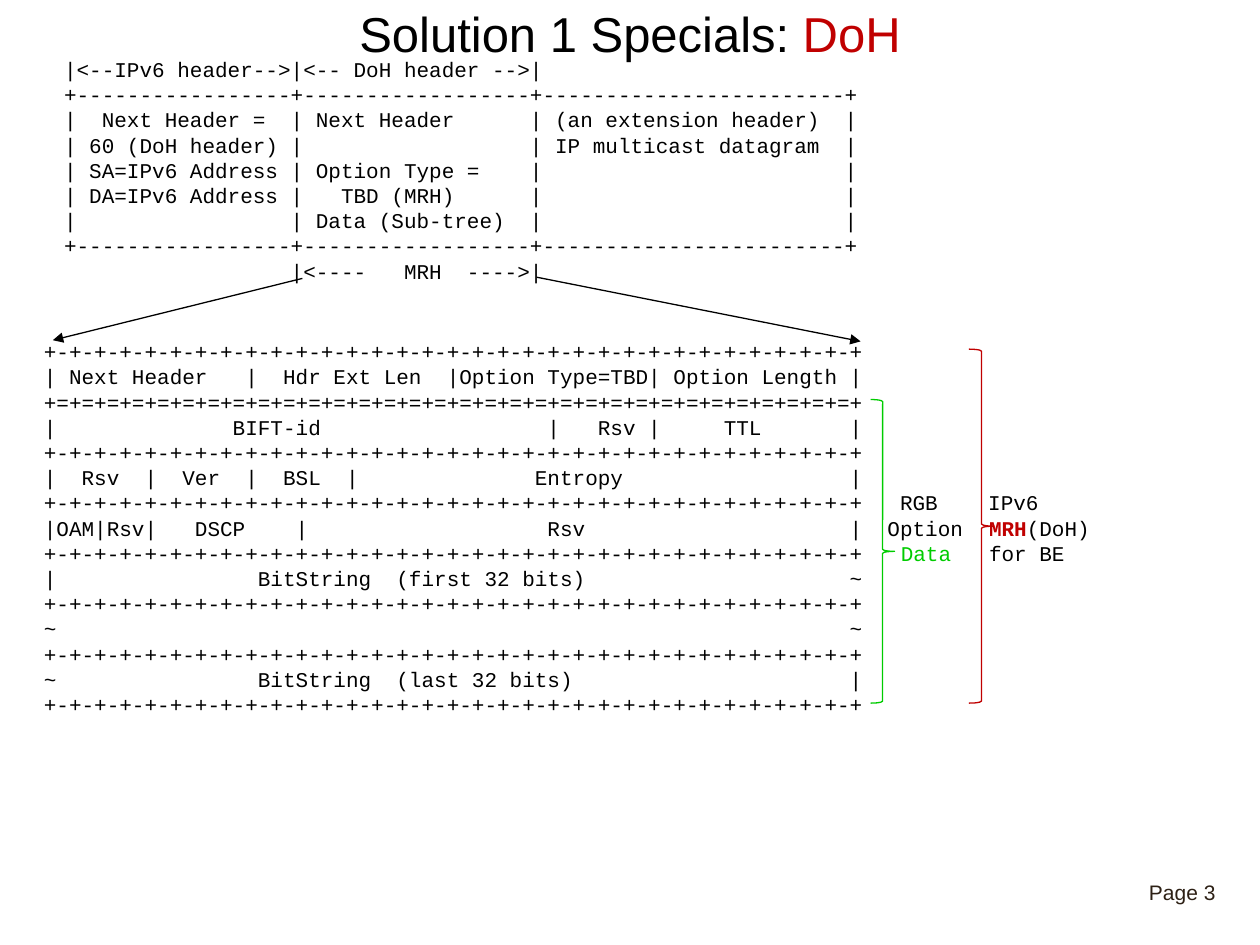
"""Build the slide on the DoH header and its MRH option."""
from lxml import etree
from pptx import Presentation
from pptx.dml.color import RGBColor
from pptx.enum import shapes, text
from pptx.oxml import ns
from pptx.util import Pt

COLORS = {"black": "000000", "red": "C00000", "green": "00CC00", "page": "2D2015"}
SANS, MONO = "Arial", "Courier New"
BORDER = "+-" * 32 + "+"
DOUBLE = "+=" * 32 + "+"
STACK_BORDER = "+" + "+".join("-" * n for n in (17, 18, 24)) + "+"

STACK = [
    "|<--IPv6 header-->|<-- DoH header -->|",
    STACK_BORDER,
    "|  Next Header =  | Next Header      | (an extension header)  |",
    "| 60 (DoH header) |                  | IP multicast datagram  |",
    "| SA=IPv6 Address | Option Type =    |                        |",
    "| DA=IPv6 Address |   TBD (MRH)      |                        |",
    "|                 | Data (Sub-tree)  |                        |",
    STACK_BORDER,
    "                  |<----   MRH  ---->|",
]
OPTION = [
    BORDER,
    "| Next Header   |  Hdr Ext Len  |Option Type=TBD| Option Length |",
    DOUBLE + " ",
    "|              BIFT-id                  |   Rsv |     TTL       |",
    BORDER + "  ",
    "|  Rsv  |  Ver  |  BSL  |              Entropy                  |",
    BORDER + "   RGB    IPv6",
    [("|OAM|Rsv|   DSCP    |                   Rsv                     |  Option  ",),
     ("MRH", "red", True), ("(DoH)",)],
    [(BORDER + "   ",), ("Data   ", "green"), ("for BE",)],
    "|                BitString  (first 32 bits)                     ~",
    BORDER,
    "~                                                               ~",
    BORDER,
    "~                BitString  (last 32 bits)                      |",
    BORDER,
]


def rgb(name):
    """Return the named colour."""
    return RGBColor.from_string(COLORS[name])


def add_run(p, words, color="black", bold=False, font=MONO, size=12):
    """Append one styled run to a paragraph."""
    r = p.add_run()
    r.text = words
    r.font.name, r.font.size, r.font.bold = font, Pt(size), bold
    r.font.color.rgb = rgb(color)


def add_box(s, box):
    """Add a wrapping text box and return its text frame."""
    tf = s.shapes.add_textbox(*map(Pt, box)).text_frame
    tf.word_wrap = True
    return tf


def add_rows(s, box, rows):
    """Set rows of fixed-width text, each a string or a list of runs."""
    tf = add_box(s, box)
    tf.auto_size = text.MSO_AUTO_SIZE.SHAPE_TO_FIT_TEXT
    for i, row in enumerate(rows):
        p = tf.add_paragraph() if i else tf.paragraphs[0]
        for run in [(row,)] if isinstance(row, str) else row:
            add_run(p, *run)


def add_brace(s, box, color):
    """Add a thin right brace."""
    sp = s.shapes.add_shape(shapes.MSO_SHAPE.RIGHT_BRACE, *map(Pt, box))
    sp.shadow.inherit = False
    sp.fill.background()
    sp.line.color.rgb = rgb(color)
    sp.line.width = Pt(0.75)


def add_arrow(s, start, end):
    """Add a thin black arrow."""
    c = s.shapes.add_connector(shapes.MSO_CONNECTOR.STRAIGHT, *map(Pt, start + end))
    c.line.color.rgb = rgb("black")
    c.line.width = Pt(0.75)
    etree.SubElement(c.line._get_or_add_ln(), ns.qn("a:tailEnd"), type="triangle")
    etree.SubElement(c._element.spPr, ns.qn("a:effectLst"))


def add_title(s, box):
    """Set the centred two-colour title."""
    tf = add_box(s, box)
    tf.vertical_anchor = text.MSO_ANCHOR.MIDDLE
    p = tf.paragraphs[0]
    p.alignment = text.PP_ALIGN.CENTER
    add_run(p, "Solution 1 Specials: ", font=SANS, size=28)
    add_run(p, "DoH", "red", font=SANS, size=28)


def add_stack(s, box):
    """Draw the header stack and the arrows that expand its MRH field."""
    add_rows(s, box, STACK)
    x, y = box[:2]
    add_arrow(s, (x + 143.3, y + 130.3), (x + 0.7, y + 165.6))
    add_arrow(s, (x + 277.2, y + 129.6), (x + 462.3, y + 166.3))


def add_option(s, box):
    """Draw the MRH option layout with its two braces."""
    add_rows(s, box, OPTION)
    x, y, _, h = box
    bottom = y + h - 28.1
    for dx, dy, w, color in ((535.7, 9.4, 14.4, "red"), (479.5, 38.2, 13.7, "green")):
        add_brace(s, (x + dx, y + dy, w, bottom - y - dy), color)


def add_page(s, box):
    """Set the page label."""
    tf = add_box(s, box)
    tf.word_wrap = False
    tf.margin_left = tf.margin_right = tf.margin_top = tf.margin_bottom = 0
    p = tf.paragraphs[0]
    p.line_spacing = 0.85
    add_run(p, "Page 3", "page", font=SANS)


prs = Presentation()
prs.slide_width, prs.slide_height = Pt(720), Pt(540)
s = prs.slides.add_slide(prs.slide_layouts[6])
add_title(s, (54, 2.2, 612, 33.1))
add_page(s, (656.6, 504.7, 48.2, 22.3))
add_option(s, (18, 190.1, 624.2, 239.8))
add_stack(s, (29.5, 28.8, 505.4, 139.7))
prs.save("out.pptx")
